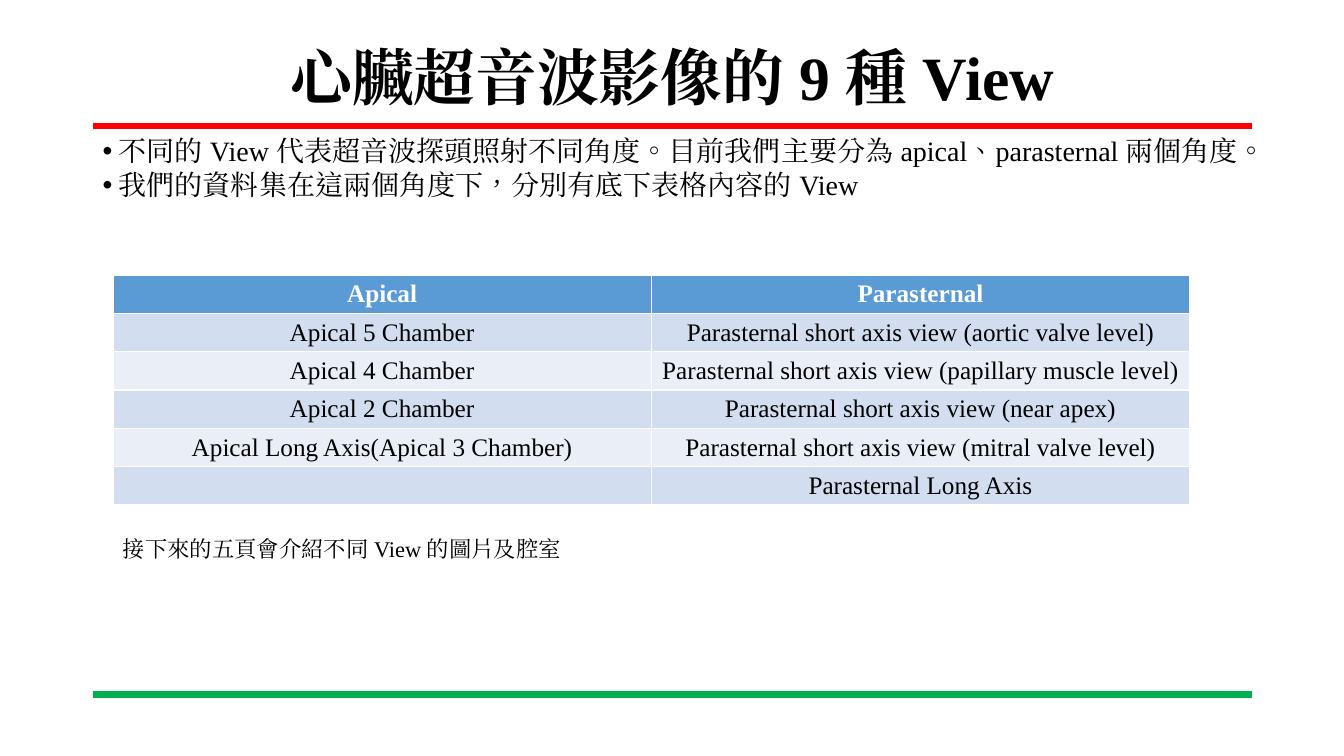
from dataclasses import dataclass

from lxml.etree import SubElement
from pptx import Presentation
from pptx.dml.color import RGBColor as Color
from pptx.enum.shapes import MSO_CONNECTOR as Connector
from pptx.enum.text import MSO_ANCHOR as Anchor, PP_ALIGN as Align
from pptx.oxml.ns import qn
from pptx.util import Inches, Pt


@dataclass(frozen=True)
class Theme:
    font: str = "Times New Roman"
    title: int = 44
    body: int = 20
    table: int = 18
    note: int = 16
    ink: str = "000000"
    white: str = "FFFFFF"
    top_rule: str = "FF0000"
    bottom_rule: str = "00B050"
    header: str = "5B9BD5"
    bands: tuple = ("D2DEEF", "EAEFF7")


theme = Theme()
presentation = Presentation()
presentation.slide_width, presentation.slide_height = Inches(13.33), Inches(7.5)
slide = presentation.slides.add_slide(presentation.slide_layouts[6])

MARGIN, CONTENT_WIDTH = 0.92, 11.5
TABLE_LEFT, TABLE_TOP = 1.12, 2.73
COLUMN_WIDTH, ROW_HEIGHT = 5.34, 0.37


def write(paragraph, text, size, color=theme.ink, bold=False):
    """Add one run, with the same face for Latin and East Asian characters."""
    run = paragraph.add_run()
    run.text = text
    run.font.name, run.font.size, run.font.bold = theme.font, Pt(size), bold
    run.font.color.rgb = Color.from_string(color)
    properties = run.font._element
    properties.set("lang", "zh-TW")
    properties.set("altLang", "en-US")
    SubElement(properties, qn("a:ea")).set("typeface", theme.font)


def add_text_frame(left, top, width, height):
    box = slide.shapes.add_textbox(*map(Inches, (left, top, width, height)))
    box.text_frame.word_wrap = True
    return box.text_frame


# Rules above and below the content
for y, color in ((1.25, theme.top_rule), (6.89, theme.bottom_rule)):
    rule = slide.shapes.add_connector(
        Connector.STRAIGHT, Inches(MARGIN), Inches(y),
        Inches(MARGIN + CONTENT_WIDTH), Inches(y))
    rule.line.color.rgb = Color.from_string(color)
    rule.line.width = Pt(4.5)
    SubElement(rule._element.spPr, qn("a:effectLst"))

# Bulleted introduction
points = (
    "不同的 View 代表超音波探頭照射不同角度。目前我們主要分為 apical、parasternal 兩個角度。",
    "我們的資料集在這兩個角度下，分別有底下表格內容的 View",
)
body = add_text_frame(MARGIN, 1.31, CONTENT_WIDTH, 5.51)
for index, point in enumerate(points):
    paragraph = body.add_paragraph() if index else body.paragraphs[0]
    paragraph.line_spacing, paragraph.space_before = 0.9, Pt(3)
    properties = paragraph._p.get_or_add_pPr()
    properties.set("marL", str(Inches(0.16)))
    properties.set("indent", str(-Inches(0.16)))
    SubElement(properties, qn("a:buFont")).set("typeface", "Arial")
    SubElement(properties, qn("a:buChar")).set("char", "•")
    write(paragraph, point, theme.body)

# Title
title = add_text_frame(MARGIN, 0.4, CONTENT_WIDTH, 0.79)
title.vertical_anchor = Anchor.MIDDLE
heading = title.paragraphs[0]
heading.alignment, heading.line_spacing = Align.CENTER, 0.9
write(heading, "心臟超音波影像的 9 種 View", theme.title, bold=True)

# Table of views
views = (
    ("Apical", "Parasternal"),
    ("Apical 5 Chamber", "Parasternal short axis view (aortic valve level)"),
    ("Apical 4 Chamber", "Parasternal short axis view (papillary muscle level)"),
    ("Apical 2 Chamber", "Parasternal short axis view (near apex)"),
    ("Apical Long Axis(Apical 3 Chamber)", "Parasternal short axis view (mitral valve level)"),
    ("", "Parasternal Long Axis"),
)
table = slide.shapes.add_table(
    len(views), 2, Inches(TABLE_LEFT), Inches(TABLE_TOP),
    Inches(2 * COLUMN_WIDTH), Inches(len(views) * ROW_HEIGHT)).table
for column in table.columns:
    column.width = Inches(COLUMN_WIDTH)
for row_index, row_views in enumerate(views):
    is_header = row_index == 0
    fill = theme.header if is_header else theme.bands[(row_index - 1) % 2]
    table.rows[row_index].height = Inches(ROW_HEIGHT)
    for column_index, view in enumerate(row_views):
        cell = table.cell(row_index, column_index)
        cell.fill.solid()
        cell.fill.fore_color.rgb = Color.from_string(fill)
        cell.margin_top = cell.margin_bottom = Inches(0.04)
        cell.vertical_anchor = Anchor.MIDDLE
        paragraph = cell.text_frame.paragraphs[0]
        paragraph.alignment = Align.CENTER
        if view:
            write(paragraph, view, theme.table,
                  theme.white if is_header else theme.ink, is_header)

# Closing note
note = add_text_frame(TABLE_LEFT, 5.26, 4.57, 0.37)
write(note.paragraphs[0], "接下來的五頁會介紹不同 View 的圖片及腔室", theme.note)

presentation.save("out.pptx")
